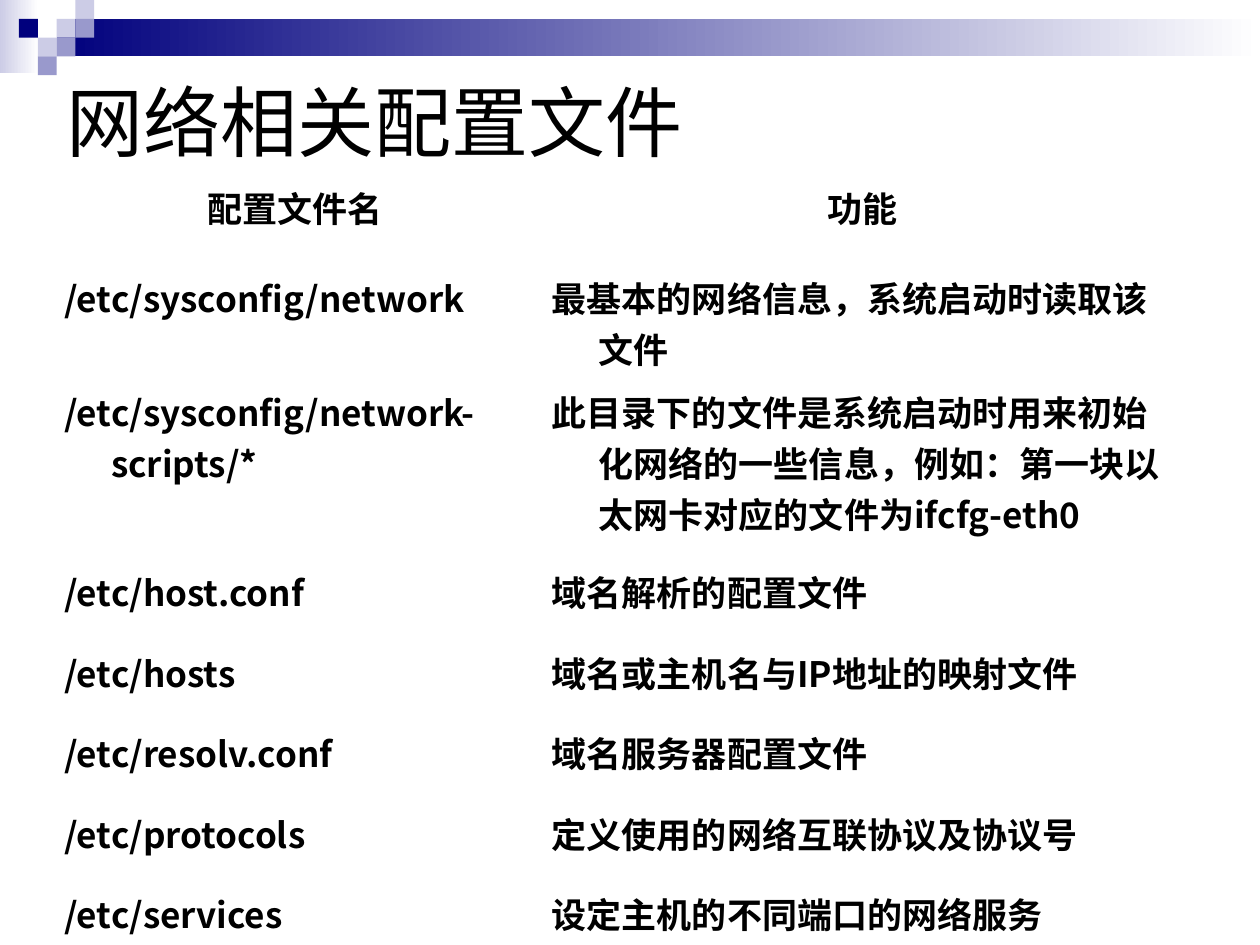
from lxml.etree import SubElement
from pptx import Presentation
from pptx.dml.color import RGBColor
from pptx.enum.shapes import MSO_SHAPE
from pptx.enum.text import MSO_ANCHOR, PP_ALIGN
from pptx.oxml.ns import qn
from pptx.util import Pt

NAVY, LILAC, PALE, WHITE = "00007D", "9999CC", "CCCCE6", "FFFFFF"
CJK = "Noto Sans CJK SC"
STEP = 10.75  # side of one small square
SQUARES = [  # column, row, colour
    (1, 1, PALE), (2, 0, PALE), (2, 1, LILAC), (0, 2, PALE),
    (-1, 1, NAVY), (1, 2, LILAC), (0, 3, LILAC),
]
ROWS = [
    ("配置文件名", "功能"),
    ("/etc/sysconfig/network", "最基本的网络信息，系统启动时读取该文件"),
    ("/etc/sysconfig/network-scripts/*",
     "此目录下的文件是系统启动时用来初始化网络的一些信息，例如：第一块以太网卡对应的文件为ifcfg-eth0"),
    ("/etc/host.conf", "域名解析的配置文件"),
    ("/etc/hosts", "域名或主机名与IP地址的映射文件"),
    ("/etc/resolv.conf", "域名服务器配置文件"),
    ("/etc/protocols", "定义使用的网络互联协议及协议号"),
    ("/etc/services", "设定主机的不同端口的网络服务"),
]
WIDTHS = (278.6, 369.4)
HEIGHTS = (51.8, 65.2, 103) + (46,) * 5


def color(code):
    return RGBColor.from_string(code)


def write(frame, text, size=20, font=CJK, bold=False, align=PP_ALIGN.LEFT, hang=0):
    """Fill a text frame; hang is the hanging indent in points."""
    para = frame.paragraphs[0]
    para.alignment = align
    if hang:
        props = para._p.get_or_add_pPr()
        props.set("marL", str(Pt(hang)))
        props.set("indent", str(-Pt(hang)))
    run = para.add_run()
    run.text = text
    run.font.size = Pt(size)
    run.font.bold = bold
    run.font.name = font
    run.font.color.rgb = color("000000")
    SubElement(run._r.get_or_add_rPr(), qn("a:ea")).set("typeface", CJK)


def add_rect(slide, left, top, width, height, start, end=None):
    """Draw a plain rectangle, or one fading from start to end."""
    rect = slide.shapes.add_shape(
        MSO_SHAPE.RECTANGLE, Pt(left), Pt(top), Pt(width), Pt(height))
    rect.shadow.inherit = False
    rect.line.fill.background()
    if end:
        rect.fill.gradient()
        rect.fill.gradient_angle = 0
        for stop, code in zip(rect.fill.gradient_stops, (start, end)):
            stop.color.rgb = color(code)
    else:
        rect.fill.solid()
        rect.fill.fore_color.rgb = color(start)


def add_title(slide, text):
    box = slide.shapes.add_textbox(Pt(31.2), Pt(15), Pt(648), Pt(108))
    box.text_frame.word_wrap = True
    box.text_frame.vertical_anchor = MSO_ANCHOR.MIDDLE
    write(box.text_frame, text, size=44, font="Arial")


def set_edges(cell, code):
    props = cell._tc.get_or_add_tcPr()
    for side in ("lnL", "lnR", "lnT", "lnB"):
        line = SubElement(props, qn("a:" + side), w=str(Pt(1)))
        fill = SubElement(line, qn("a:solidFill"))
        SubElement(fill, qn("a:srgbClr"), val=code)


def add_grid(slide):
    table = slide.shapes.add_table(
        len(ROWS), len(WIDTHS), Pt(29.5), Pt(100),
        Pt(sum(WIDTHS)), Pt(sum(HEIGHTS))).table
    table.first_row = table.horz_banding = False
    for col, width in zip(table.columns, WIDTHS):
        col.width = Pt(width)
    for i, (row, height, texts) in enumerate(zip(table.rows, HEIGHTS, ROWS)):
        row.height = Pt(height)
        for cell, text in zip(row.cells, texts):
            set_edges(cell, WHITE)
            cell.fill.background()
            write(cell.text_frame, text, bold=True, hang=26.8,
                  align=PP_ALIGN.LEFT if i else PP_ALIGN.CENTER)


def main():
    deck = Presentation()
    deck.slide_width, deck.slide_height = Pt(720), Pt(540)
    slide = deck.slides.add_slide(deck.slide_layouts[6])
    add_rect(slide, 0, 0, 22, 42, PALE, WHITE)
    add_rect(slide, 32.4, STEP, 687.6, 2 * STEP, NAVY, WHITE)
    for col, row, code in SQUARES:
        add_rect(slide, 21.6 + col * STEP, row * STEP, STEP, STEP, code)
    add_title(slide, "网络相关配置文件")
    add_grid(slide)
    deck.save("out.pptx")


if __name__ == "__main__":
    main()
